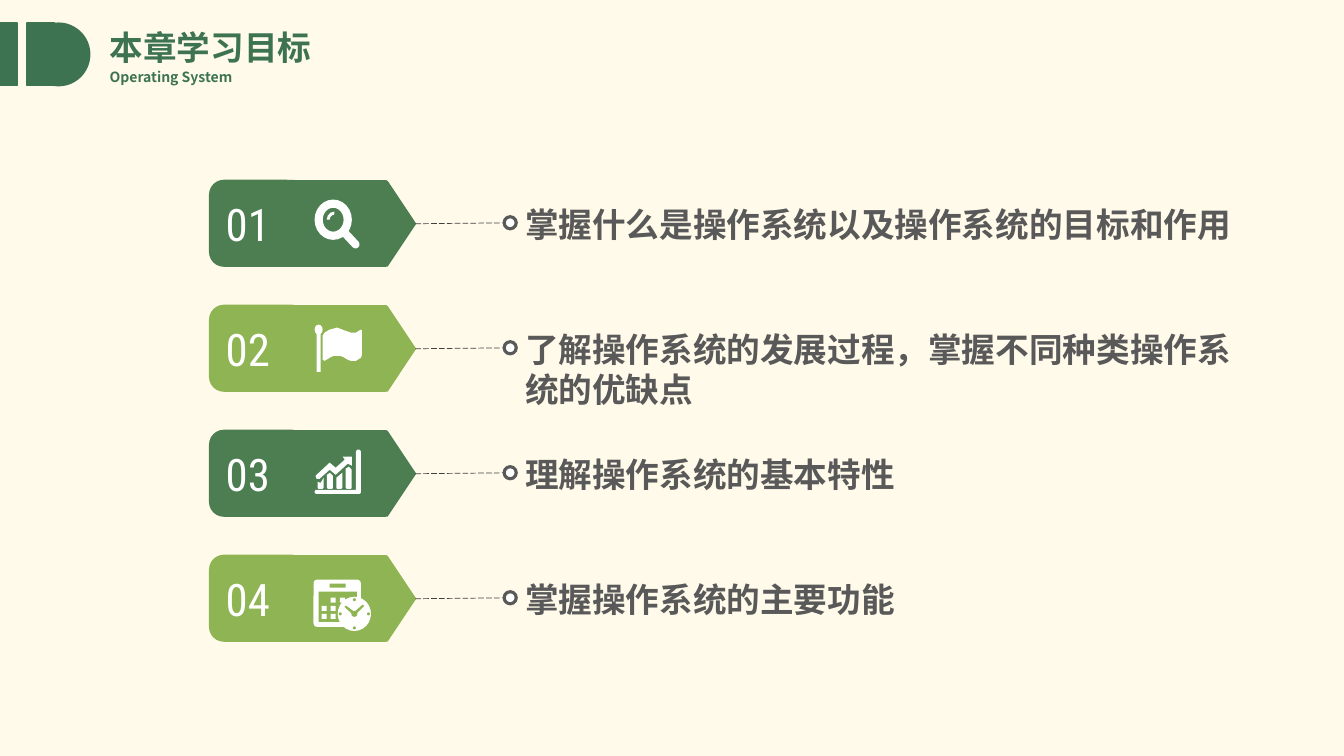
from lxml import etree
from pptx import Presentation
from pptx.dml.color import RGBColor
from pptx.enum.dml import MSO_LINE
from pptx.enum.shapes import MSO_CONNECTOR, MSO_SHAPE
from pptx.oxml.ns import qn
from pptx.util import Inches, Pt

RECT, ROUND = MSO_SHAPE.RECTANGLE, MSO_SHAPE.ROUNDED_RECTANGLE
OVAL, TRIANGLE = MSO_SHAPE.OVAL, MSO_SHAPE.ISOSCELES_TRIANGLE
DONUT, ARC = MSO_SHAPE.DONUT, MSO_SHAPE.BLOCK_ARC
STRAIGHT, LONG_DASH = MSO_CONNECTOR.STRAIGHT, MSO_LINE.LONG_DASH

CREAM = RGBColor(0xFF, 0xFA, 0xEA)
HEADER_GREEN = RGBColor(0x3D, 0x73, 0x51)
DARK_GREEN = RGBColor(0x4C, 0x7E, 0x51)
LIGHT_GREEN = RGBColor(0x8E, 0xB4, 0x53)
GREY = RGBColor(0x59, 0x59, 0x59)
LINE_GREY = RGBColor(0x40, 0x40, 0x40)
WHITE = RGBColor(0xFF, 0xFF, 0xFF)

BODY_FONT, NUMBER_FONT = "Noto Sans CJK SC", "Roboto Condensed"

# Row grid, in inches
ROW_TOP, ROW_PITCH, TILE_H = 1.79, 1.24, 0.85
TILE_X, ICON_X, TIP_X, TEXT_X = 2.08, 3.12, 4.12, 5.11


def paint(sp, fill, line=None, width=1):
    sp.shadow.inherit = False
    sp.fill.solid()
    sp.fill.fore_color.rgb = fill
    if line is None:
        sp.line.fill.background()
    else:
        sp.line.color.rgb = line
        sp.line.width = Pt(width)
    return sp


def add_shape(s, kind, x, y, w, h, fill, line=None, width=1):
    sp = s.shapes.add_shape(kind, Inches(x), Inches(y), Inches(w), Inches(h))
    return paint(sp, fill, line, width)


def add_polygon(s, x, y, points, fill):
    pts = [(Inches(x + px), Inches(y + py)) for px, py in points]
    fb = s.shapes.build_freeform(*pts[0], scale=1.0)
    fb.add_line_segments(pts[1:], close=True)
    return paint(fb.convert_to_shape(), fill)


def add_text(s, x, y, w, h, lines, size, color, font=BODY_FONT, bold=True, wrap=True):
    tf = s.shapes.add_textbox(Inches(x), Inches(y), Inches(w), Inches(h)).text_frame
    tf.word_wrap = wrap
    for i, line in enumerate(lines):
        p = tf.paragraphs[0] if i == 0 else tf.add_paragraph()
        r = p.add_run()
        r.text = line
        r.font.size, r.font.bold, r.font.name = Pt(size), bold, font
        r.font.color.rgb = color
        etree.SubElement(r.font._element, qn("a:ea"), typeface=font)


def add_dashed_line(s, x1, y1, x2, y2):
    cn = s.shapes.add_connector(STRAIGHT, Inches(x1), Inches(y1), Inches(x2), Inches(y2))
    cn.line.color.rgb = LINE_GREY
    cn.line.width = Pt(0.5)
    cn.line.dash_style = LONG_DASH
    etree.SubElement(cn._element.spPr, qn("a:effectLst"))


# Icons: x, y is the icon's top left corner
def magnifier(s, x, y, tile):
    ring = add_shape(s, DONUT, x, y, 0.37, 0.4, WHITE)
    ring.adjustments[0] = 0.22
    glint = add_shape(s, ARC, x + 0.12, y + 0.12, 0.15, 0.16, WHITE)
    for i, value in enumerate((108, 162, 0.2)):
        glint.adjustments[i] = value
    handle = add_shape(s, ROUND, x + 0.24, y + 0.35, 0.23, 0.08, WHITE)
    handle.adjustments[0] = 0.5
    handle.rotation = 47


def flag(s, x, y, tile):
    add_shape(s, RECT, x + 0.02, y + 0.07, 0.04, 0.4, WHITE)
    add_shape(s, OVAL, x, y, 0.08, 0.1, WHITE)
    top = [(0.08, 0.11), (0.1, 0.08), (0.15, 0.05), (0.19, 0.04), (0.22, 0.03),
           (0.25, 0.04), (0.3, 0.06), (0.33, 0.07), (0.36, 0.08), (0.41, 0.08),
           (0.46, 0.05), (0.47, 0.06)]
    bottom = [(0.47, 0.3), (0.46, 0.33), (0.41, 0.36), (0.36, 0.36), (0.33, 0.35),
              (0.28, 0.32), (0.25, 0.31), (0.19, 0.31), (0.15, 0.33), (0.1, 0.36),
              (0.08, 0.35)]
    add_polygon(s, x, y, top + bottom, WHITE)


def growth_chart(s, x, y, tile):
    # Each bar: left, mid and right heights of its cut top
    for i, (left, mid, right) in enumerate([(0.32, 0.33, 0.28), (0.25, 0.23, 0.26),
                                            (0.28, 0.255, 0.23), (0.19, 0.17, 0.2)]):
        bx = 0.03 + 0.093 * i
        add_polygon(s, x, y, [(bx, left), (bx + 0.03, mid), (bx + 0.06, right),
                              (bx + 0.06, 0.38), (bx + 0.05, 0.39),
                              (bx + 0.01, 0.39), (bx, 0.38)], WHITE)
    add_polygon(s, x, y, [(0.01, 0.26), (0.15, 0.13), (0.21, 0.18), (0.3, 0.1),
                          (0.28, 0.07), (0.37, 0.07), (0.37, 0.16), (0.33, 0.14),
                          (0.21, 0.25), (0.15, 0.2), (0.05, 0.29), (0.02, 0.29)], WHITE)
    for bar in ((0.41, 0, 0.05, 0.44), (0, 0.4, 0.46, 0.04)):
        sp = add_shape(s, ROUND, x + bar[0], y + bar[1], *bar[2:], WHITE)
        sp.adjustments[0] = 0.5


def calendar(s, x, y, tile):
    y += 0.05
    page = add_shape(s, ROUND, x - 0.01, y, 0.47, 0.47, WHITE)
    page.adjustments[0] = 0.08
    add_shape(s, RECT, x + 0.15, y + 0.04, 0.16, 0.04, tile)
    add_shape(s, RECT, x + 0.04, y + 0.12, 0.38, 0.3, tile)
    for col, row in ((1, 0), (2, 0), (0, 1), (1, 1), (0, 2), (1, 2)):
        add_shape(s, RECT, x + 0.07 + 0.09 * col, y + 0.18 + 0.08 * row, 0.05, 0.05, WHITE)
    # Clock face, hour marks, hub and hands
    add_shape(s, OVAL, x + 0.23, y + 0.17, 0.33, 0.34, WHITE)
    cx, cy = x + 0.395, y + 0.34
    for dx, dy in ((0, -0.14), (0.14, 0), (0, 0.14), (-0.14, 0)):
        add_shape(s, OVAL, cx + dx - 0.015, cy + dy - 0.015, 0.03, 0.03, tile)
    add_shape(s, OVAL, cx - 0.03, cy - 0.03, 0.06, 0.06, tile)
    add_polygon(s, cx, cy, [(-0.1, -0.07), (-0.08, -0.08), (0, -0.02), (0.08, -0.09),
                            (0.1, -0.08), (0, 0.02)], tile)


def add_header(s):
    for kind, x, w in ((RECT, 0, 0.17), (RECT, 0.27, 0.27), (OVAL, 0.27, 0.62)):
        add_shape(s, kind, x, 0.23, w, 0.62, HEADER_GREEN, HEADER_GREEN)
    add_text(s, 0.99, 0.22, 2.22, 0.5, ["本章学习目标"], 24, HEADER_GREEN, wrap=False)
    add_text(s, 0.99, 0.63, 1.47, 0.27, ["Operating System"], 10, HEADER_GREEN, wrap=False)


def add_goal(s, i, icon, lines):
    y = ROW_TOP + ROW_PITCH * i
    tile = LIGHT_GREEN if i % 2 else DARK_GREEN
    # Arrow-shaped tile
    add_shape(s, ROUND, TILE_X, y, 0.96, TILE_H, tile, tile)
    add_shape(s, RECT, 2.85, y, 0.98, TILE_H, tile, tile)
    tip = add_shape(s, TRIANGLE, 3.56, y + 0.29, 0.84, 0.28, tile, tile)
    tip.rotation = 90
    add_text(s, 2.14, y + 0.11, 0.71, 0.64, [f"{i + 1:02d}"], 32, WHITE, NUMBER_FONT, False)
    icon(s, ICON_X, y + 0.19, tile)
    # Leader and goal
    add_dashed_line(s, TIP_X, y + 0.43, TEXT_X, y + 0.42)
    add_shape(s, OVAL, 5, y + 0.36, 0.12, 0.12, WHITE, GREY, 2.25)
    add_text(s, TEXT_X, y + 0.18, 7.43, 0.09 + 0.41 * len(lines), lines, 24, GREY)


def main():
    prs = Presentation()
    prs.slide_width, prs.slide_height = Inches(13.33), Inches(7.5)
    s = prs.slides.add_slide(prs.slide_layouts[6])
    s.background.fill.solid()
    s.background.fill.fore_color.rgb = CREAM
    add_header(s)
    goals = [
        (magnifier, ["掌握什么是操作系统以及操作系统的目标和作用"]),
        (flag, ["了解操作系统的发展过程，掌握不同种类操作系", "统的优缺点"]),
        (growth_chart, ["理解操作系统的基本特性"]),
        (calendar, ["掌握操作系统的主要功能"]),
    ]
    for i, (icon, lines) in enumerate(goals):
        add_goal(s, i, icon, lines)
    prs.save("out.pptx")


if __name__ == "__main__":
    main()
